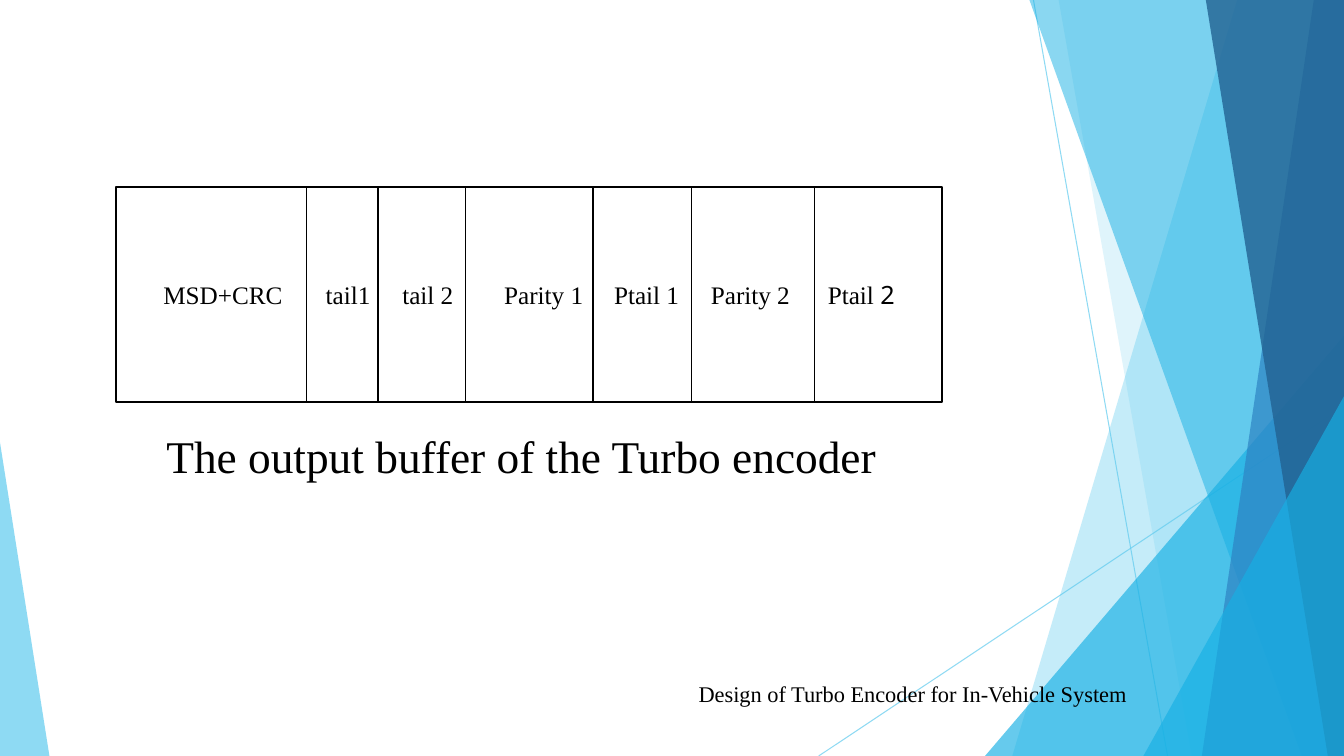
"""Build the slide showing the output buffer of the Turbo encoder."""
from lxml import etree
from pptx import Presentation, util as u
from pptx.dml.color import RGBColor
from pptx.enum import shapes, text
from pptx.oxml.ns import qn

WIDTH, HEIGHT = 13.33, 7.5
SERIF, SANS = "Times New Roman", "Noto Sans"
COLORS = {"black": "000000", "white": "FFFFFF", "sky": "5FCBEF",
          "cyan": "17B0E4", "blue": "2E83C3", "navy": "226292"}

TITLE = "The output buffer of the Turbo encoder"
FOOTER = "Design of Turbo Encoder for In-Vehicle System"
BUFFER = (1.15, 1.86, 8.19, 2.13)
FIELDS = ["MSD+CRC", "tail1", "tail 2", "Parity 1", "Ptail 1", "Parity 2", "Ptail "]
LAST_DIGIT = "2"
LABEL_STARTS = [1.62, 3.23, 3.99, 5.0, 6.09, 7.05, 8.21]
DIVIDERS = [3.04, 3.75, 4.62, 5.88, 6.86, 8.08]

RAYS = [((10.25, 0), (11.58, HEIGHT)), ((WIDTH, 4.03), (8.12, HEIGHT))]
# kind, geometry, color, opacity
DECORATION = [
    ("band", (12.27, 10.04), "sky", 36),
    ("band", (10.5, 11.82), "sky", 20),
    ("triangle", (9.77, 3.33, 3.56, 1), "cyan", 66),
    ("band", (10.21, 12.91), "cyan", 50),
    ("band", (13.03, 11.92), "blue", 70),
    ("band", (11.96, 13.17), "navy", 80),
    ("triangle", (11.34, 3.93, 1.99, 1), "cyan", 66),
    ("triangle", (0, 4.39, 0.49, 0), "sky", 70),
]


def inches(*values):
    return [u.Inches(value) for value in values]


def color(name):
    return RGBColor.from_string(COLORS[name])


def set_opacity(parent, percent):
    for element in parent.iter(qn("a:srgbClr")):
        etree.SubElement(element, qn("a:alpha")).set("val", str(percent * 1000))


def add_line(slide, start, end, name, width, opacity=100):
    line = slide.shapes.add_connector(
        shapes.MSO_CONNECTOR.STRAIGHT, *inches(*start, *end))
    line.line.color.rgb = color(name)
    line.line.width = u.Pt(width)
    properties = line._element.spPr
    if opacity < 100:
        set_opacity(properties, opacity)
    etree.SubElement(properties, qn("a:effectLst"))


def add_decoration(slide, kind, geometry, name, opacity):
    if kind == "band":
        top, bottom = geometry
        builder = slide.shapes.build_freeform(
            u.Inches(top), 0, scale=1.0)
        corners = [(WIDTH, 0), (WIDTH, HEIGHT), (bottom, HEIGHT)]
        builder.add_line_segments([inches(*corner) for corner in corners])
        shape = builder.convert_to_shape()
    else:
        left, top, width, apex = geometry
        shape = slide.shapes.add_shape(
            shapes.MSO_SHAPE.ISOSCELES_TRIANGLE,
            *inches(left, top, width, HEIGHT - top))
        shape.adjustments[0] = apex
    shape.shadow.inherit = False
    shape.fill.solid()
    shape.fill.fore_color.rgb = color(name)
    shape.line.fill.background()
    set_opacity(shape._element.spPr, opacity)


def add_run(paragraph, words, size, font=SERIF):
    run = paragraph.add_run()
    run.text = words
    run.font.size = u.Pt(size)
    run.font.name = font
    run.font.color.rgb = color("black")


def write(shape, words, size, anchor):
    frame = shape.text_frame
    frame.word_wrap = True
    frame.auto_size = text.MSO_AUTO_SIZE.NONE
    frame.vertical_anchor = anchor
    paragraph = frame.paragraphs[0]
    paragraph.alignment = text.PP_ALIGN.LEFT
    add_run(paragraph, words, size)
    return paragraph


def add_buffer(slide):
    left, top, width, height = BUFFER
    box = slide.shapes.add_shape(shapes.MSO_SHAPE.RECTANGLE, *inches(*BUFFER))
    box.shadow.inherit = False
    box.fill.solid()
    box.fill.fore_color.rgb = color("white")
    box.line.color.rgb = color("black")
    box.line.width = u.Pt(1.5)
    box.text_frame.margin_left = u.Inches(LABEL_STARTS[0] - left)
    box.text_frame.margin_right = 0
    paragraph = write(box, "\t".join(FIELDS), 18, text.MSO_ANCHOR.MIDDLE)
    add_run(paragraph, LAST_DIGIT, 18, SANS)
    tabs = etree.SubElement(paragraph._p.get_or_add_pPr(), qn("a:tabLst"))
    for start in LABEL_STARTS[1:]:
        tab = etree.SubElement(tabs, qn("a:tab"))
        tab.set("pos", str(u.Inches(start - LABEL_STARTS[0])))
        tab.set("algn", "l")
    for x in DIVIDERS:
        add_line(slide, (x, top), (x, top + height), "black", 1)


def main():
    presentation = Presentation()
    presentation.slide_width, presentation.slide_height = inches(WIDTH, HEIGHT)
    slide = presentation.slides.add_slide(presentation.slide_layouts[5])
    for start, end in RAYS:
        add_line(slide, start, end, "sky", 0.75, 70)
    for piece in DECORATION:
        add_decoration(slide, *piece)
    title = slide.shapes.title
    title.left, title.top, title.width, title.height = inches(1.55, 4.22, 7.32, 0.62)
    write(title, TITLE, 32.4, text.MSO_ANCHOR.BOTTOM)
    add_buffer(slide)
    footer = slide.shapes.add_textbox(*inches(6.83, 6.68, 5.52, 0.4))
    write(footer, FOOTER, 16, text.MSO_ANCHOR.MIDDLE)
    presentation.save("out.pptx")


if __name__ == "__main__":
    main()
